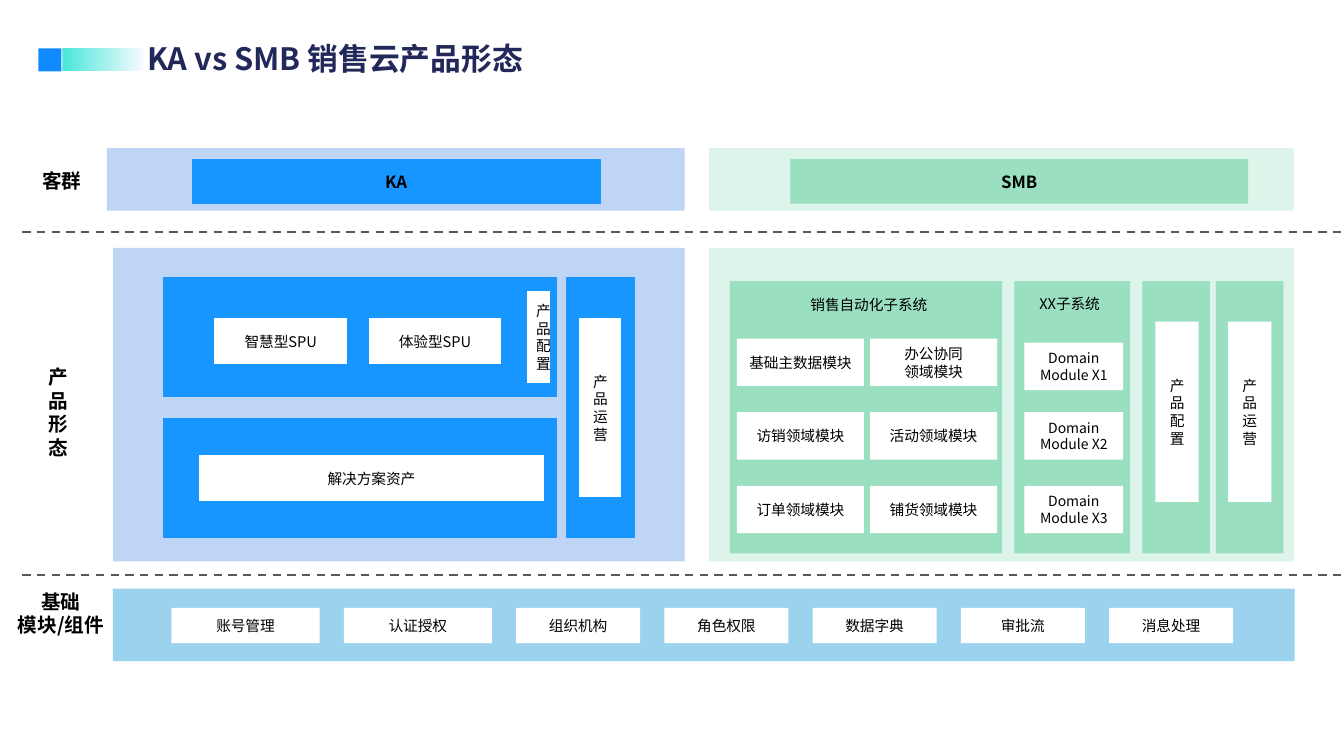
from lxml import etree
from pptx import Presentation
from pptx import util as u
from pptx.dml.color import RGBColor
from pptx.enum import dml, shapes, text
from pptx.oxml.ns import qn

PX = 9144  # 100 px to the inch
FONT = "Noto Sans CJK SC"
BLUE, PALE_BLUE, SKY = "1796FF", "BFD5F5", "9BD3EF"
GREEN, PALE_GREEN = "9ADFBF", "DDF4EA"
WHITE, BLACK, NAVY, GREY = "FFFFFF", "000000", "23285B", "595959"

TITLE = "KA vs SMB 销售云产品形态"
ROW_LABELS = [
    ("客群", (21, 118, 81, 122)),
    ("产\n品\n形\n态", (17, 285, 81, 248)),
    ("基础\n模块/组件", (0, 581, 121, 55)),
]
PANELS = [
    (PALE_BLUE, (106, 147, 573, 62)),
    (PALE_GREEN, (703, 147, 580, 62)),
    (PALE_BLUE, (112, 246, 567, 311)),
    (PALE_GREEN, (703, 246, 580, 311)),
    (SKY, (112, 584, 1172, 72)),
]
DIVIDERS = [230, 570]

KA_HEADER = ("KA", (191, 158, 404, 44))
KA_BLOCKS = [(162, 275, 390, 118), (162, 415, 390, 118), (562, 275, 67, 258)]
KA_CARDS = [
    ("智慧型SPU", (212, 315, 133, 47)),
    ("体验型SPU", (365, 315, 133, 47)),
    ("产\n品\n配\n置", (522, 288, 24, 93)),
    ("解决方案资产", (197, 451, 343, 47)),
    ("产品运营", (574, 315, 43, 179)),
]

SMB_HEADER = ("SMB", (784, 158, 454, 44))
SMB_BLOCKS = [(724, 270), (1006, 115), (1133, 67), (1206, 67)]  # left, width
SMB_BLOCK_TOP, SMB_BLOCK_HEIGHT = 279, 270
SMB_CAPTIONS = [
    ("销售自动化子系统", (794, 289, 164, 29)),
    ("XX子系统", (1021, 288, 104, 29)),
]
SALES_MODULES = [
    ["基础主数据模块", "办公协同\n领域模块"],
    ["访销领域模块", "活动领域模块"],
    ["订单领域模块", "铺货领域模块"],
]
DOMAIN_MODULES = [("X1", 340), ("X2", 409), ("X3", 482)]  # name, top
SMB_TALL_CARDS = [("产品\n配置", 1146), ("产品运营", 1218)]

BASE_MODULES = [
    ("账号管理", 147), ("认证授权", 147), ("组织机构", 123), ("角色权限", 123),
    ("数据字典", 123), ("审批流", 123), ("消息处理", 123),
]
BASE_LEFT, BASE_TOP, BASE_HEIGHT, BASE_GAP = 170, 603, 35, 24

deck = Presentation()
deck.slide_width, deck.slide_height = u.Emu(1333 * PX), u.Emu(750 * PX)
page = deck.slides.add_slide(deck.slide_layouts[6])


def color(code):
    return RGBColor.from_string(code)


def emu(place):
    return [u.Emu(length * PX) for length in place]


def write(box, words, size=10.5, bold=False, ink=BLACK, centred=True):
    frame = box.text_frame
    frame.word_wrap = True
    frame.vertical_anchor = text.MSO_ANCHOR.MIDDLE if centred else text.MSO_ANCHOR.TOP
    for index, line in enumerate(words.split("\n")):
        para = frame.add_paragraph() if index else frame.paragraphs[0]
        para.alignment = text.PP_ALIGN.CENTER if centred else text.PP_ALIGN.LEFT
        span = para.add_run()
        span.text = line
        span.font.size = u.Pt(size)
        span.font.bold = bold
        span.font.color.rgb = color(ink)
        span.font.name = FONT
        etree.SubElement(span.font._element, qn("a:ea"), typeface=FONT)


def add_label(words, place, **style):
    write(page.shapes.add_textbox(*emu(place)), words, **style)


def add_box(place, fill, words="", border=None, **style):
    box = page.shapes.add_shape(shapes.MSO_SHAPE.RECTANGLE, *emu(place))
    box.shadow.inherit = False
    box.fill.solid()
    box.fill.fore_color.rgb = color(fill)
    if border:
        box.line.color.rgb = color(border)
        box.line.width = u.Pt(1)
    else:
        box.line.fill.background()
    if words:
        write(box, words, **style)
    return box


def add_divider(y):
    ends = emu((22, y, 1333, y))
    line = page.shapes.add_connector(shapes.MSO_CONNECTOR.STRAIGHT, *ends)
    line.line.color.rgb = color(GREY)
    line.line.width = u.Pt(1.5)
    line.line.dash_style = dml.MSO_LINE.DASH
    etree.SubElement(line._element.spPr, qn("a:effectLst"))


def add_title():
    add_box((38, 48, 23, 23), "118AFF")
    fade = add_box((62, 48, 80, 23), WHITE)
    fade.fill.gradient()
    fade.fill.gradient_angle = 0
    for stop, code in zip(fade.fill.gradient_stops, ("47E7DB", "F7FAFE")):
        stop.color.rgb = color(code)
    add_label(TITLE, (136, 35, 571, 47), size=22, bold=True, ink=NAVY, centred=False)


def add_ka():
    words, place = KA_HEADER
    add_box(place, BLUE, words, border=BLUE, size=12, bold=True)
    for place in KA_BLOCKS:
        add_box(place, BLUE, border=BLUE)
    for words, place in KA_CARDS:
        add_box(place, WHITE, words, border=BLUE)


def add_smb():
    words, place = SMB_HEADER
    add_box(place, GREEN, words, size=12, bold=True)
    for left, width in SMB_BLOCKS:
        add_box((left, SMB_BLOCK_TOP, width, SMB_BLOCK_HEIGHT), GREEN)
    for words, place in SMB_CAPTIONS:
        add_label(words, place, centred=False)
    for row, names in enumerate(SALES_MODULES):
        for column, words in enumerate(names):
            add_box((731 + 132 * column, 336 + 73 * row, 126, 47), WHITE, words)
    for name, top in DOMAIN_MODULES:
        add_box((1016, top, 98, 47), WHITE, f"Domain\nModule {name}", size=10)
    for words, left in SMB_TALL_CARDS:
        add_box((left, 319, 43, 179), WHITE, words)


def add_base():
    left = BASE_LEFT
    for words, width in BASE_MODULES:
        add_box((left, BASE_TOP, width, BASE_HEIGHT), WHITE, words)
        left += width + BASE_GAP


add_title()
for fill, place in PANELS:
    add_box(place, fill)
for words, place in ROW_LABELS:
    add_label(words, place, size=14, bold=True)
for y in DIVIDERS:
    add_divider(y)
add_ka()
add_smb()
add_base()
deck.save("out.pptx")
